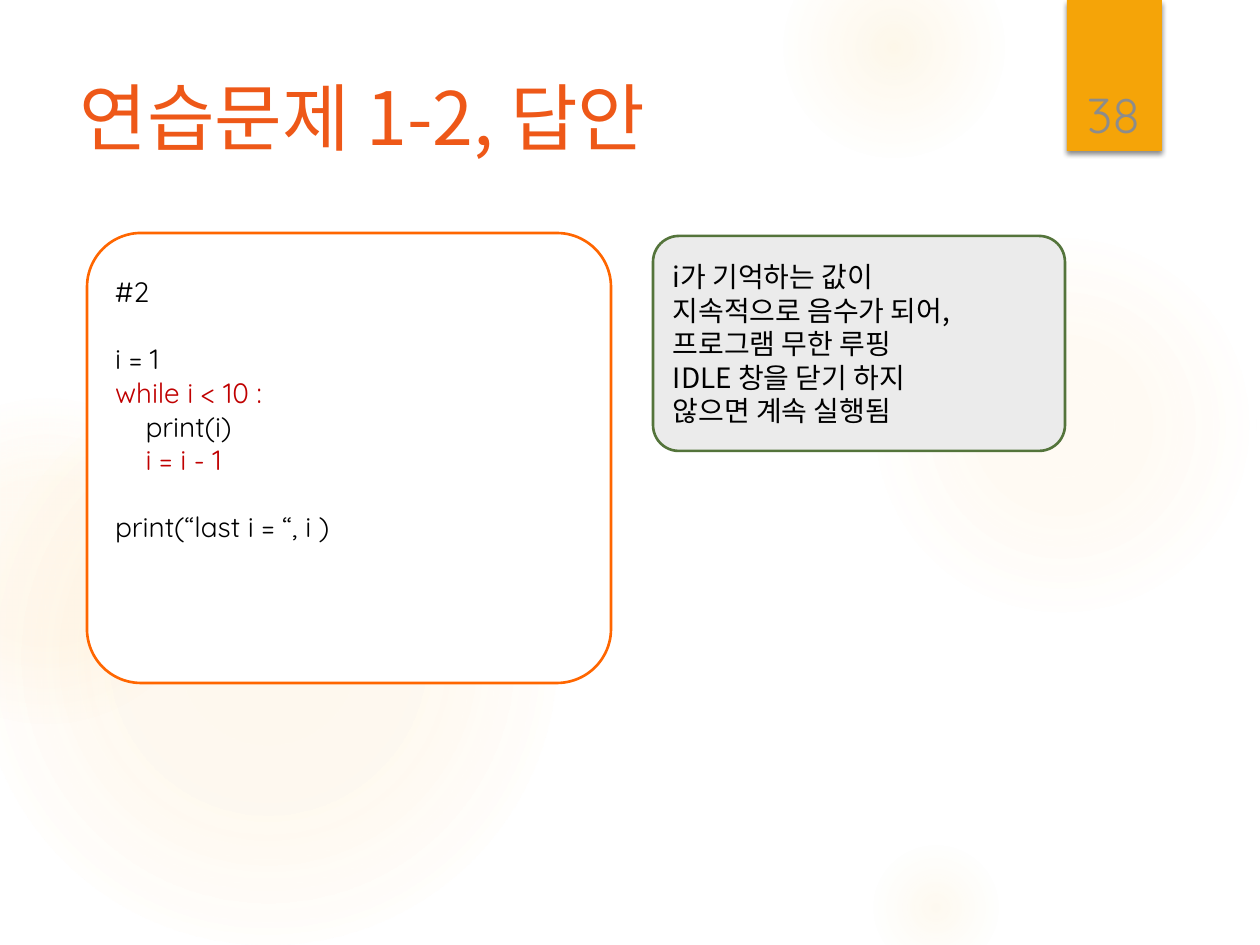
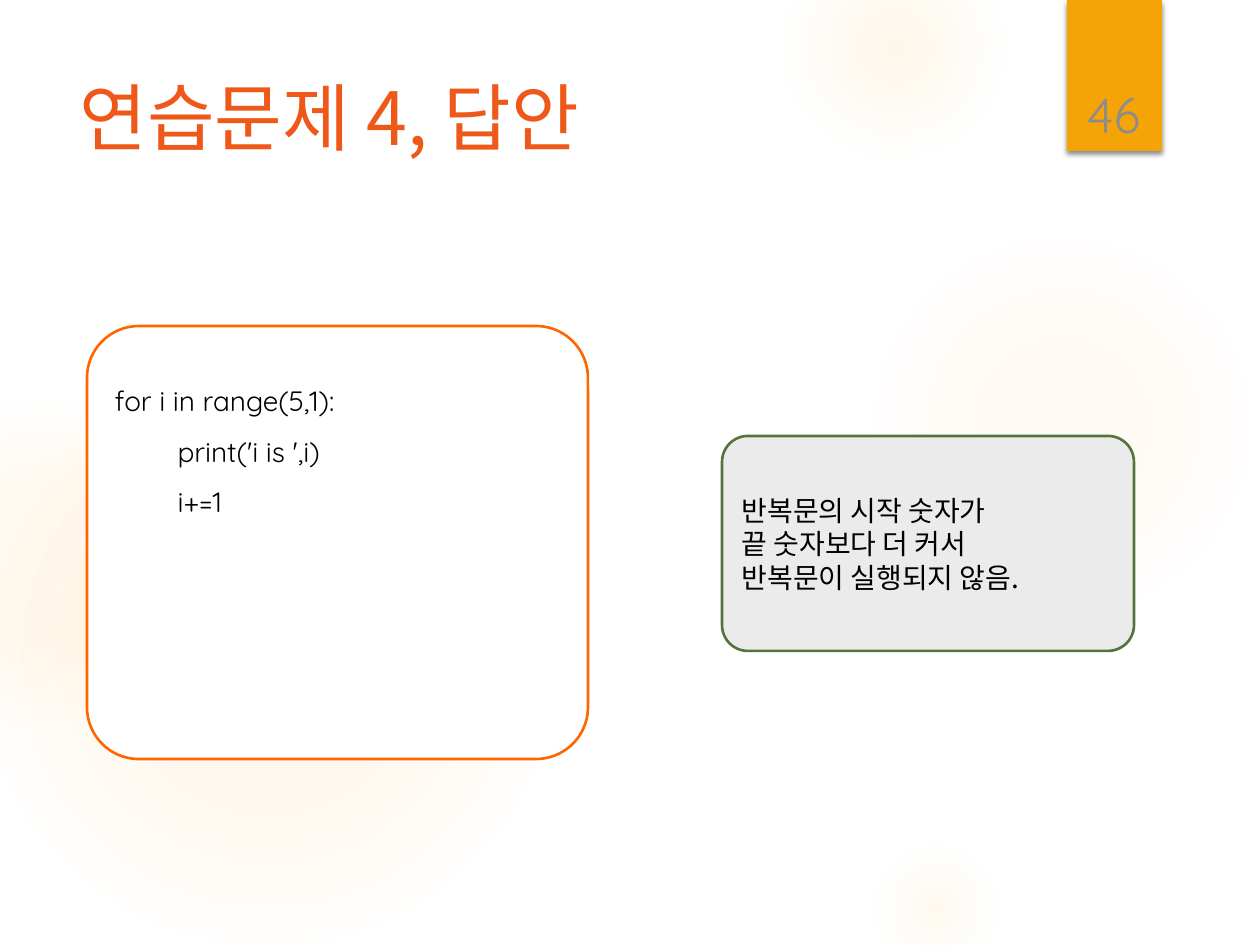
from dataclasses import dataclass

from pptx import Presentation
from pptx.dml.color import RGBColor
from pptx.enum.shapes import MSO_SHAPE
from pptx.enum.text import MSO_ANCHOR, PP_ALIGN
from pptx.oxml import parse_xml
from pptx.oxml.ns import nsdecls, qn
from pptx.util import Emu, Pt

PX = 914400 / 126


@dataclass(frozen=True)
class Theme:
    title: str = "EE5818"
    band: str = "F5A408"
    glow: str = "FAC96A"
    number: str = "8C8C8C"
    text: str = "000000"
    accent: str = "C00000"
    code_fill: str = "FFFFFF"
    code_line: str = "FF6600"
    note_fill: str = "EBEBEB"
    note_line: str = "54743B"
    korean: str = "Noto Sans CJK KR"
    latin: str = "Quicksand"
    title_size: int = 42
    number_size: int = 28
    body_size: int = 16
    leading: float = 1.2


T = Theme()

# left, top, diameter, gradient stops as (position %, opacity %)
GLOWS = [
    (868, 231, 388, [(0, 7), (36, 6), (69, 0)]),
    (784, -63, 220, [(0, 14), (36, 7), (73, 0)]),
    (868, 840, 136, [(0, 10), (31, 5), (66, 0)]),
    (-21, 368, 577, [(0, 11), (36, 10), (75, 0)]),
    (-116, 399, 325, [(0, 8), (36, 8), (72, 0)]),
]

# Code lines are (text, colour, blank lines before)
SLIDES = [
    {
        "title": "연습문제 1-2, 답안",
        "number": "38",
        "code_box": (87, 233, 524, 450),
        "code": [
            ("#2", T.text, 0),
            ("i = 1", T.text, 1),
            ("while i < 10 :", T.accent, 0),
            ("    print(i)", T.text, 0),
            ("    i = i - 1", T.accent, 0),
            ("print(“last i = “, i )", T.text, 1),
        ],
        "spacing": 1,
        "note_box": (653, 236, 412, 215),
        "note": ["i가 기억하는 값이", "지속적으로 음수가 되어,", "프로그램 무한 루핑",
                 "IDLE 창을 닫기 하지", "않으면 계속 실행됨"],
    },
    {
        "title": "연습문제 4, 답안",
        "number": "46",
        "code_box": (87, 326, 501, 433),
        "code": [
            ("for i in range(5,1):", T.text, 0),
            ("\tprint('i is ',i)", T.text, 0),
            ("\ti+=1", T.text, 0),
        ],
        "spacing": 1.5,
        "note_box": (722, 436, 412, 215),
        "note": ["반복문의 시작 숫자가", "끝 숫자보다 더 커서", "반복문이 실행되지 않음."],
    },
]


def px(n):
    return Emu(round(n * PX))


def rgb(color):
    return RGBColor.from_string(color)


def add_shape(s, kind, box, fill=None, line=None):
    sp = s.shapes.add_shape(kind, *map(px, box))
    sp.shadow.inherit = False
    if fill:
        sp.fill.solid()
        sp.fill.fore_color.rgb = rgb(fill)
    else:
        sp.fill.background()
    if line:
        sp.line.color.rgb = rgb(line)
        sp.line.width = Pt(1.5)
    else:
        sp.line.fill.background()
    return sp


def set_frame(sp, **values):
    tf = sp.text_frame
    for name, value in {"word_wrap": True, **values}.items():
        setattr(tf, name, value)
    return tf


def write_line(p, text, font, size, color, **values):
    """Fill a paragraph with one run, naming the font for Latin and Korean."""
    for name, value in values.items():
        setattr(p, name, value)
    r = p.add_run()
    r.text = text
    for name, value in {"name": font, "size": Pt(size)}.items():
        setattr(r.font, name, value)
    r.font.color.rgb = rgb(color)
    r.font._element.find(qn("a:latin")).addnext(
        parse_xml(f'<a:ea {nsdecls("a")} typeface="{font}"/>'))


def next_paragraph(tf, index):
    return tf.add_paragraph() if index else tf.paragraphs[0]


def add_glow(s, left, top, diameter, stops):
    """Draw a circle whose colour fades out towards its edge."""
    sp = add_shape(s, MSO_SHAPE.OVAL, (left, top, diameter, diameter))
    gs = "".join(
        f'<a:gs pos="{pos * 1000}"><a:srgbClr val="{T.glow}">'
        f'<a:alpha val="{alpha * 1000}"/></a:srgbClr></a:gs>'
        for pos, alpha in stops)
    sp_pr = sp._element.spPr
    sp_pr.replace(sp_pr.find(qn("a:noFill")), parse_xml(
        f'<a:gradFill {nsdecls("a")} rotWithShape="1"><a:gsLst>{gs}</a:gsLst>'
        '<a:path path="circle"><a:fillToRect l="50000" t="50000" r="50000" '
        'b="50000"/></a:path></a:gradFill>'))


def add_number_band(s, box, number):
    left, top, width, height = box
    band = add_shape(s, MSO_SHAPE.RECTANGLE, box, T.band)
    band._element.spPr.find(qn("a:effectLst")).append(parse_xml(
        f'<a:outerShdw {nsdecls("a")} blurRad="{Pt(3)}" dist="{Pt(2)}" '
        'dir="5400000" algn="ctr" rotWithShape="0"><a:srgbClr val="000000">'
        '<a:alpha val="45000"/></a:srgbClr></a:outerShdw>'))
    label = s.shapes.add_textbox(
        *map(px, (left + 3, top + 40, width - 8, height - 45)))
    tf = set_frame(label, vertical_anchor=MSO_ANCHOR.BOTTOM, margin_bottom=px(3))
    write_line(tf.paragraphs[0], number, T.latin, T.number_size, T.number,
               alignment=PP_ALIGN.CENTER)


def add_title(s, box, title):
    tf = set_frame(s.shapes.add_textbox(*map(px, box)), margin_top=px(9))
    write_line(tf.paragraphs[0], title, T.korean, T.title_size, T.title,
               line_spacing=Pt(T.title_size * T.leading))


def add_panel(s, box, fill, line):
    sp = add_shape(s, MSO_SHAPE.ROUNDED_RECTANGLE, box, fill, line)
    sp.adjustments[0] = 0.12
    return sp


def add_code(s, box, lines, spacing):
    sp = add_panel(s, box, T.code_fill, T.code_line)
    tf = set_frame(sp, vertical_anchor=MSO_ANCHOR.TOP, margin_top=px(26))
    pitch = Pt(T.body_size * T.leading * spacing)
    for i, (text, color, gap) in enumerate(lines):
        p = next_paragraph(tf, i)
        if text.startswith("\t"):
            p._p.get_or_add_pPr().append(parse_xml(
                f'<a:tabLst {nsdecls("a")}><a:tab pos="{px(63)}" algn="l"/></a:tabLst>'))
        write_line(p, text, T.latin, T.body_size, color, alignment=PP_ALIGN.LEFT,
                   line_spacing=pitch, space_before=Emu(pitch * gap))


def add_note(s, box, lines):
    sp = add_panel(s, box, T.note_fill, T.note_line)
    tf = set_frame(sp, vertical_anchor=MSO_ANCHOR.MIDDLE)
    for i, text in enumerate(lines):
        write_line(next_paragraph(tf, i), text, T.korean, T.body_size, T.text,
                   alignment=PP_ALIGN.LEFT,
                   line_spacing=Pt(T.body_size * T.leading))


def add_answer_slide(prs, content):
    s = prs.slides.add_slide(prs.slide_layouts[6])
    for glow in GLOWS:
        add_glow(s, *glow)
    add_number_band(s, (1067, 0, 95, 151), content["number"])
    add_title(s, (67, 63, 973, 193), content["title"])
    add_code(s, content["code_box"], content["code"], content["spacing"])
    add_note(s, content["note_box"], content["note"])


def main():
    prs = Presentation()
    prs.slide_width, prs.slide_height = px(1260), px(945)
    for content in SLIDES:
        add_answer_slide(prs, content)
    prs.save("out.pptx")


if __name__ == "__main__":
    main()
